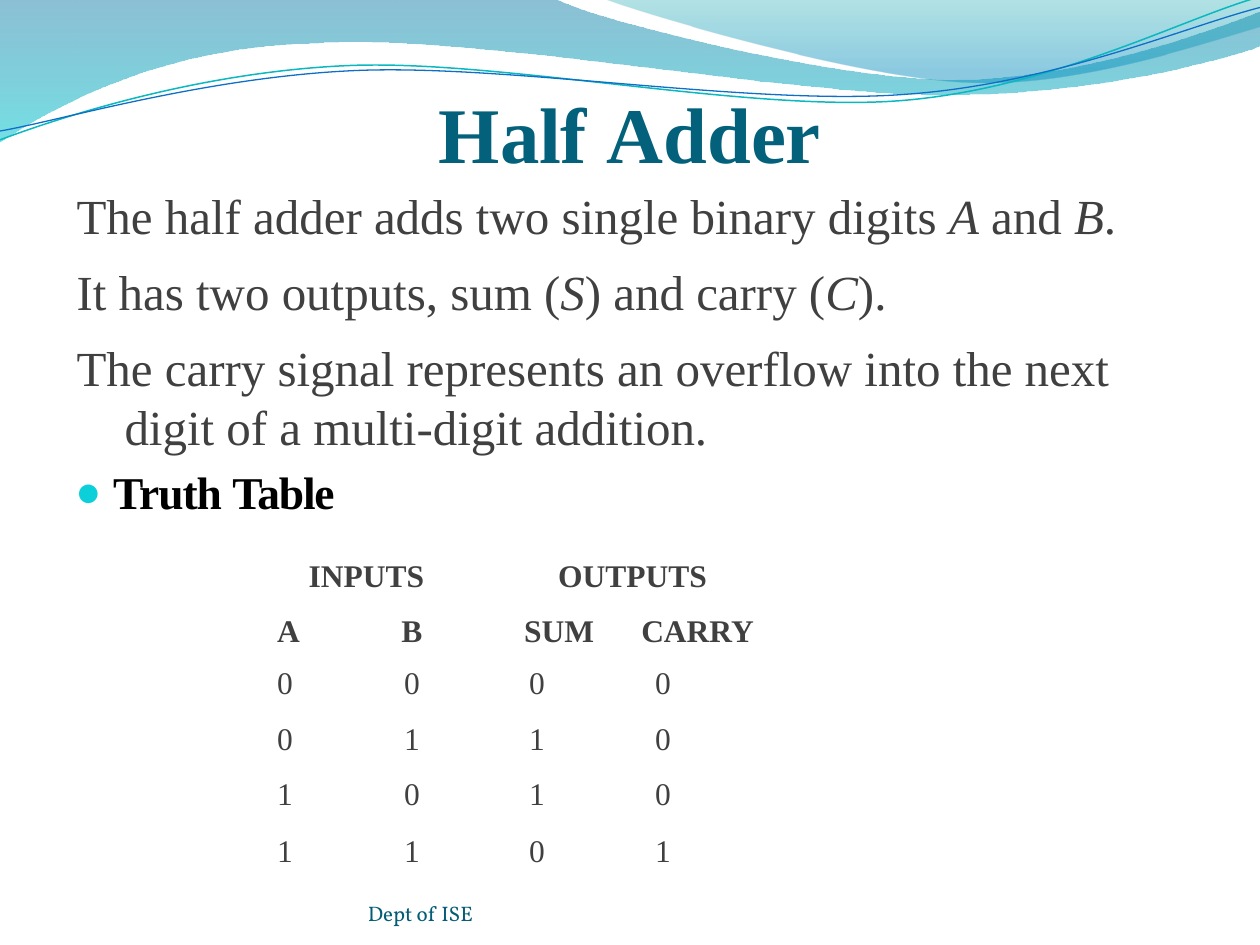
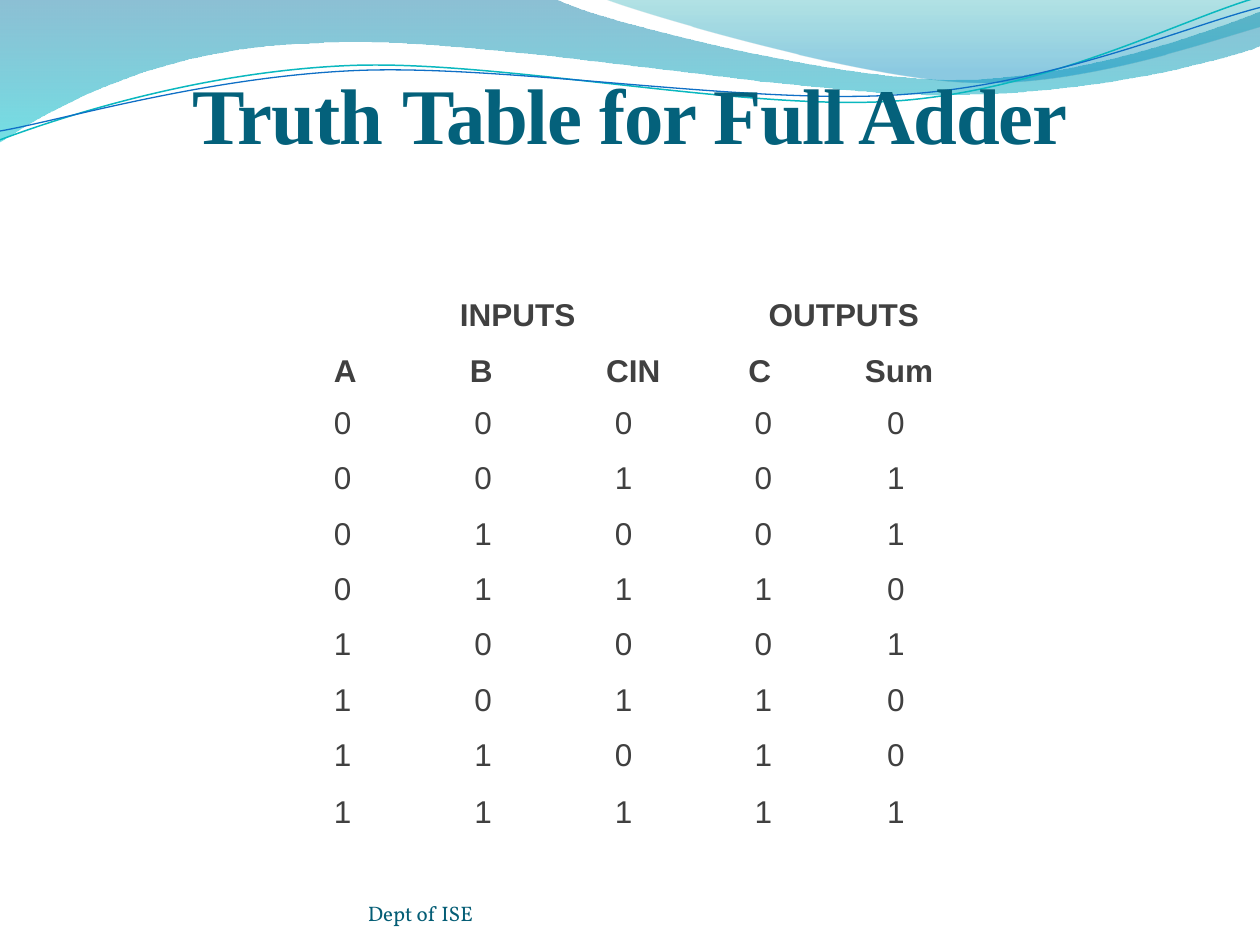
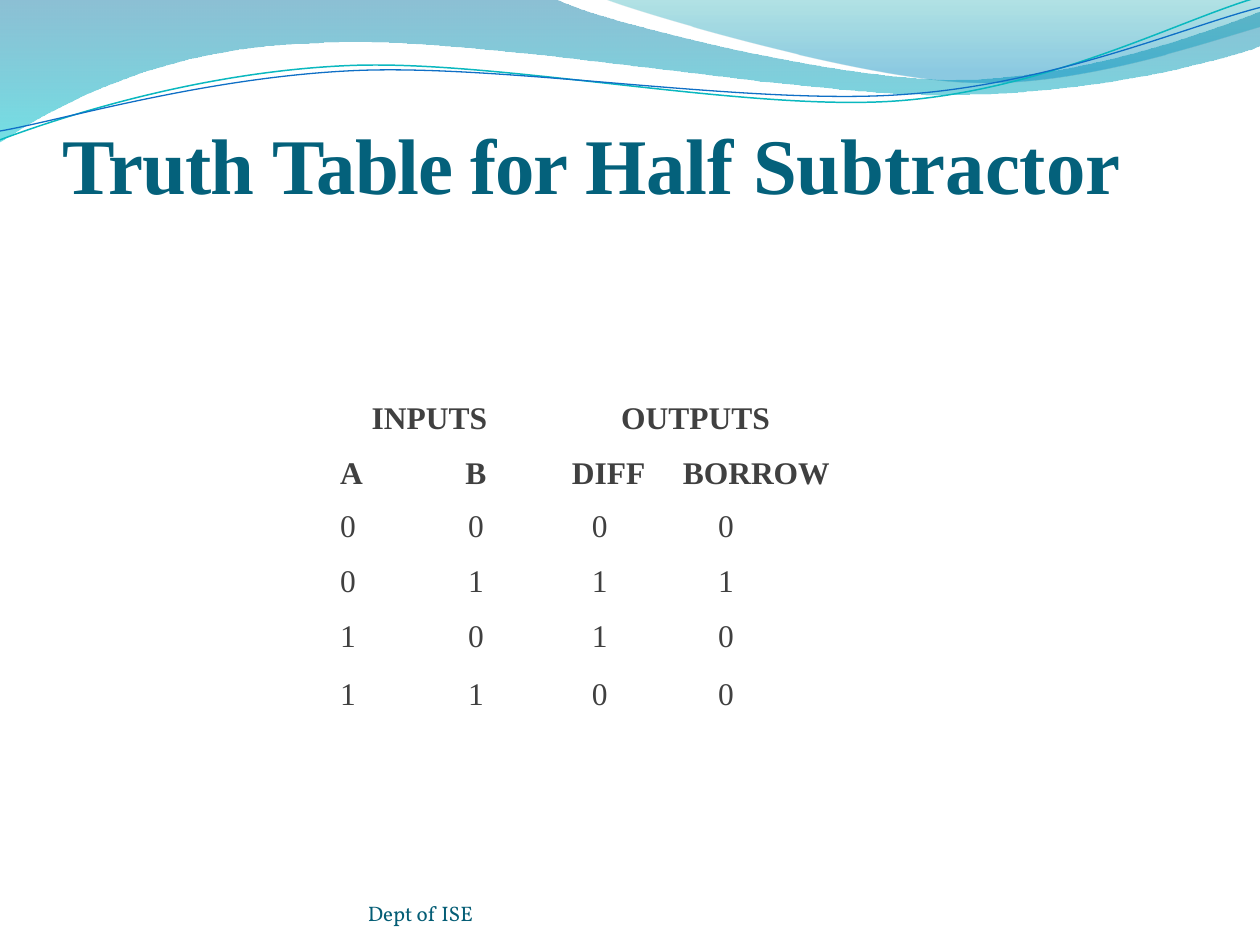
from dataclasses import dataclass
from math import cos, radians, sin

from lxml import etree
from pptx import Presentation
from pptx.dml.color import RGBColor
from pptx.enum.text import MSO_ANCHOR, PP_ALIGN
from pptx.oxml.ns import qn
from pptx.util import Inches, Pt


@dataclass(frozen=True)
class Theme:
    title: str = "04617B"
    text: str = "404040"
    heading: str = "000000"
    footer: str = "045D75"
    bullet: str = "0BD0D9"
    serif: str = "Times New Roman"
    sans: str = "Arial"
    footer_font: str = "Vollkorn"
    title_size: float = 45
    body_size: float = 28
    heading_size: float = 26
    table_size: float = 18
    footer_size: float = 12


THEME = Theme()
LEFT, CENTER, RIGHT = PP_ALIGN.LEFT, PP_ALIGN.CENTER, PP_ALIGN.RIGHT
WAVE_TILT = 2.7

# Each wave: straight (x, y) or cubic (x1, y1, x2, y2, x, y) pieces after a start point,
# then gradient stops (position, colour, opacity) or line colour, width and turning centre.
FILLED_WAVES = [
    ([(0, 0), (4.4, -0.01), (4.76, 0.17, 6.64, 0.63, 7.58, 0.63),
      (8.53, 0.63, 9.58, 0.26, 10, 0.09), (10.01, 0.36),
      (9.83, 0.44, 8.7, 0.76, 7.46, 0.75), (6.22, 0.75, 3.82, 0.28, 2.57, 0.34),
      (1.29, 0.36, 0.46, 0.83, -0.01, 1.13), (0, 0)],
     [(0, "0074A1", 45), (1, "00C6CF", 55)]),
    ([(4.79, -0.01), (5.09, 0.11, 6.82, 0.62, 7.69, 0.65),
      (8.56, 0.69, 9.61, 0.32, 10, 0.21), (10, 0), (4.79, -0.01)],
     [(0, "00A1A9", 30), (0.8, "008BBF", 45)]),
]
LINE_WAVES = [
    ([(0, 1.11), (0.48, 0.93, 1.58, 0.57, 2.77, 0.52), (3.95, 0.47, 5.93, 0.89, 7.13, 0.8),
      (8.33, 0.71, 9.38, 0.15, 9.98, -0.02)],
     ("0AB8BF", 0.85, (4.99, 0.58))),
    ([(0, 1.04), (0.47, 0.96, 1.64, 0.61, 2.83, 0.56), (4.03, 0.51, 5.97, 0.84, 7.17, 0.75),
      (8.36, 0.67, 9.41, 0.21, 10, 0.06)],
     ("0F6FC6", 0.75, (5, 0.59))),
]

# Italic letters stand between asterisks; numbers are indent and space before.
HALF_ADDER_NOTES = [
    ("The half adder adds two single binary digits *A* and *B*.", 0.39, 10.9),
    ("It has two outputs, sum (*S*) and carry (*C*).", 0.45, 9.9),
    ("The carry signal represents an overflow into the next digit of a multi-digit addition.",
     0.39, 10.1),
]
TABLE_HEADING = [("Truth ", -0.6), ("Table", -0.7)]

# Titles are (text, letter spacing) runs. Columns are
# (heading, width, heading layout, digit layout), a layout being (alignment, left, right).
SLIDES = [
    dict(title=[("Half ", -0.1), ("Adder", 0)], title_height=0.65, title_inset=0,
         title_align=CENTER, notes=HALF_ADDER_NOTES, font=THEME.serif, origin=(2.17, 4.88),
         inputs_left=2.44, outputs_left=4.42, heading_leading=19.6,
         columns=[("A", 0.62, (LEFT, 0.03, 0), (LEFT, 0.03, 0)),
                  ("B", 0.96, (CENTER, 0, 0), (CENTER, 0, 0)),
                  ("SUM", 1.15, (LEFT, 0.41, 0), (LEFT, 0.45, 0)),
                  ("CARRY", 1.12, (LEFT, 0.19, 0), (LEFT, 0.3, 0))],
         rows=["0000", "0110", "1010", "1101"]),
    dict(title=[("Truth ", -0.6), ("Table for Full Adder", -0.7)], title_height=1.25,
         title_inset=0.75, title_align=CENTER, notes=[], font=THEME.sans, origin=(2.62, 2.81),
         inputs_left=3.64, outputs_left=6.09, heading_leading=19.9,
         columns=[("A", 0.66, (LEFT, 0.03, 0), (LEFT, 0.03, 0)),
                  ("B", 1.08, (CENTER, 0, 0), (CENTER, 0.03, 0)),
                  ("CIN", 1.23, (LEFT, 0.45, 0), (CENTER, 0, 0.05)),
                  ("C", 1.08, (LEFT, 0.35, 0), (LEFT, 0.4, 0)),
                  ("Sum", 0.83, (CENTER, 0.1, 0), (CENTER, 0.05, 0))],
         rows=["00000", "00101", "01001", "01110", "10001", "10110", "11010", "11111"]),
    dict(title=[("Truth ", -0.6), ("Table for ", -0.7), ("Half ", -0.1), ("Subtractor", 0)],
         title_height=0.9, title_inset=0, title_align=LEFT, notes=[], font=THEME.serif,
         origin=(2.67, 3.63), inputs_left=2.94, outputs_left=4.92, heading_leading=19.6,
         columns=[("A", 0.62, (LEFT, 0.03, 0), (LEFT, 0.03, 0)),
                  ("B", 0.91, (RIGHT, 0, 0.34), (RIGHT, 0, 0.36)),
                  ("DIFF", 1.08, (LEFT, 0.34, 0), (CENTER, 0.07, 0.03)),
                  ("BORROW", 1.35, (LEFT, 0.14, 0), (LEFT, 0.42, 0))],
         rows=["0000", "0111", "1010", "1100"]),
]


def set_font(paragraph, name, size, colour, bold=False):
    font = paragraph.font
    font.name, font.size, font.bold = name, Pt(size), bold
    font.color.rgb = RGBColor.from_string(colour)


def add_frame(slide, box, margins, anchor=MSO_ANCHOR.TOP):
    """Add a wrapping text box; margins run left, top, right, bottom in inches."""
    frame = slide.shapes.add_textbox(*map(Inches, box)).text_frame
    frame.word_wrap = True
    frame.vertical_anchor = anchor
    (frame.margin_left, frame.margin_top,
     frame.margin_right, frame.margin_bottom) = map(Inches, margins)
    return frame


prs = Presentation()
prs.slide_width, prs.slide_height = Inches(10), Inches(7.5)

for content in SLIDES:
    slide = prs.slides.add_slide(prs.slide_layouts[6])

    # Waves
    for pieces, look in FILLED_WAVES + LINE_WAVES:
        filled = isinstance(look, list)
        points = [piece[i:i + 2] for piece in pieces for i in range(0, len(piece), 2)]
        if not filled:
            colour, width, (cx, cy) = look
            c, s = cos(radians(WAVE_TILT)), sin(radians(WAVE_TILT))
            points = [(cx + (x - cx) * c - (y - cy) * s, cy + (x - cx) * s + (y - cy) * c)
                      for x, y in points]
        outline = [(Inches(x), Inches(y)) for x, y in points]
        builder = slide.shapes.build_freeform(*outline[0])
        builder.add_line_segments(outline[1:], close=filled)
        wave = builder.convert_to_shape()
        wave.shadow.inherit = False

        # Three straight steps become one cubic curve
        steps = iter(list(wave.element.spPr.iter(qn("a:lnTo"))))
        for piece in pieces[1:]:
            first = next(steps)
            if len(piece) == 6:
                first.addprevious(curve := etree.Element(qn("a:cubicBezTo")))
                for step in (first, next(steps), next(steps)):
                    curve.append(step[0])
                    step.getparent().remove(step)

        if filled:
            wave.line.fill.background()
            wave.fill.gradient()
            wave.fill.gradient_angle = 270
            for stop, (position, colour, _) in zip(wave.fill.gradient_stops, look):
                stop.position = position
                stop.color.rgb = RGBColor.from_string(colour)
            for tint, (_, _, opacity) in zip(wave.element.spPr.iter(qn("a:srgbClr")), look):
                etree.SubElement(tint, qn("a:alpha"), val=str(opacity * 1000))
        else:
            wave.rotation = 360 - WAVE_TILT
            wave.fill.background()
            wave.line.color.rgb = RGBColor.from_string(colour)
            wave.line.width = Pt(width)

    # Title
    title = add_frame(slide, (0.5, 0.77, 9, content["title_height"]),
                      (0, 0.05, 0, content["title_inset"]), MSO_ANCHOR.BOTTOM).paragraphs[0]
    title.alignment = content["title_align"]
    set_font(title, THEME.serif, THEME.title_size, THEME.title, bold=True)
    spaced_lines = [(title, content["title"])]

    # Notes with the heading of the table
    if content["notes"]:
        body = add_frame(slide, (0.5, 1.42, 9, 5.5), (0.1, 0.05, 0.1, 0.05))
        for number, (sentence, indent, space) in enumerate(content["notes"]):
            note = body.add_paragraph() if number else body.paragraphs[0]
            note.space_before = Pt(space)
            properties = note._p.get_or_add_pPr()
            properties.set("marL", str(Inches(indent)))
            properties.set("indent", str(-Inches(indent - 0.01)))
            set_font(note, THEME.serif, THEME.body_size, THEME.text)
            for part, words in enumerate(sentence.split("*")):
                run = note.add_run()
                run.text = words
                if part % 2:
                    run.font.italic = True

        heading = body.add_paragraph()
        heading.space_before = Pt(5.2)
        properties = heading._p.get_or_add_pPr()
        properties.set("marL", str(Inches(0.3)))
        properties.set("indent", str(-Inches(0.3)))
        bullet_colour = etree.SubElement(properties, qn("a:buClr"))
        etree.SubElement(bullet_colour, qn("a:srgbClr"), val=THEME.bullet)
        etree.SubElement(properties, qn("a:buSzPct"), val="95000")
        etree.SubElement(properties, qn("a:buFont"), typeface=THEME.serif)
        etree.SubElement(properties, qn("a:buChar"), char="●")
        set_font(heading, THEME.serif, THEME.heading_size, THEME.heading, bold=True)
        spaced_lines.append((heading, TABLE_HEADING))

    for line, runs in spaced_lines:
        for words, spacing in runs:
            run = line.add_run()
            run.text = words
            run.font._element.set("spc", str(round(spacing * 100)))

    # Group labels above the table
    left, top = content["origin"]
    for label, label_left, width in (("INPUTS", content["inputs_left"], 0.95),
                                     ("OUTPUTS", content["outputs_left"], 1.22)):
        group = add_frame(slide, (label_left, top - 0.48, width, 0.32),
                          (0.01, 0.01, 0, 0)).paragraphs[0]
        group.text = label
        set_font(group, content["font"], THEME.table_size, THEME.text, bold=True)

    # Truth table
    columns, rows = content["columns"], content["rows"]
    heights = [0.36] + [0.44] * (len(rows) - 1) + [0.36]
    table = slide.shapes.add_table(
        len(heights), len(columns), Inches(left), Inches(top),
        Inches(sum(column[1] for column in columns)), Inches(sum(heights))).table
    table.first_row = table.horz_banding = False
    for row, height in zip(table.rows, heights):
        row.height = Inches(height)
    for c, (name, width, heading_layout, digit_layout) in enumerate(columns):
        table.columns[c].width = Inches(width)
        for r, value in enumerate([name] + [row[c] for row in rows]):
            cell = table.cell(r, c)
            cell.fill.background()
            alignment, inset_left, inset_right = digit_layout if r else heading_layout
            cell.margin_left, cell.margin_right = Inches(inset_left), Inches(inset_right)
            cell.margin_top, cell.margin_bottom = Inches(0.05 if r else 0), 0
            entry = cell.text_frame.paragraphs[0]
            entry.text = value
            entry.alignment = alignment
            if r == 0:
                entry.line_spacing = Pt(content["heading_leading"])
            else:
                entry.space_before = Pt(4)
            if r == len(rows):
                entry.line_spacing = Pt(20.9)
            set_font(entry, content["font"], THEME.table_size, THEME.text, bold=r == 0)

    # Footer
    footer = add_frame(slide, (2.92, 6.95, 3.67, 0.4), (0, 0, 0, 0),
                       MSO_ANCHOR.BOTTOM).paragraphs[0]
    footer.text = "Dept of ISE"
    set_font(footer, THEME.footer_font, THEME.footer_size, THEME.footer)

prs.save("out.pptx")
